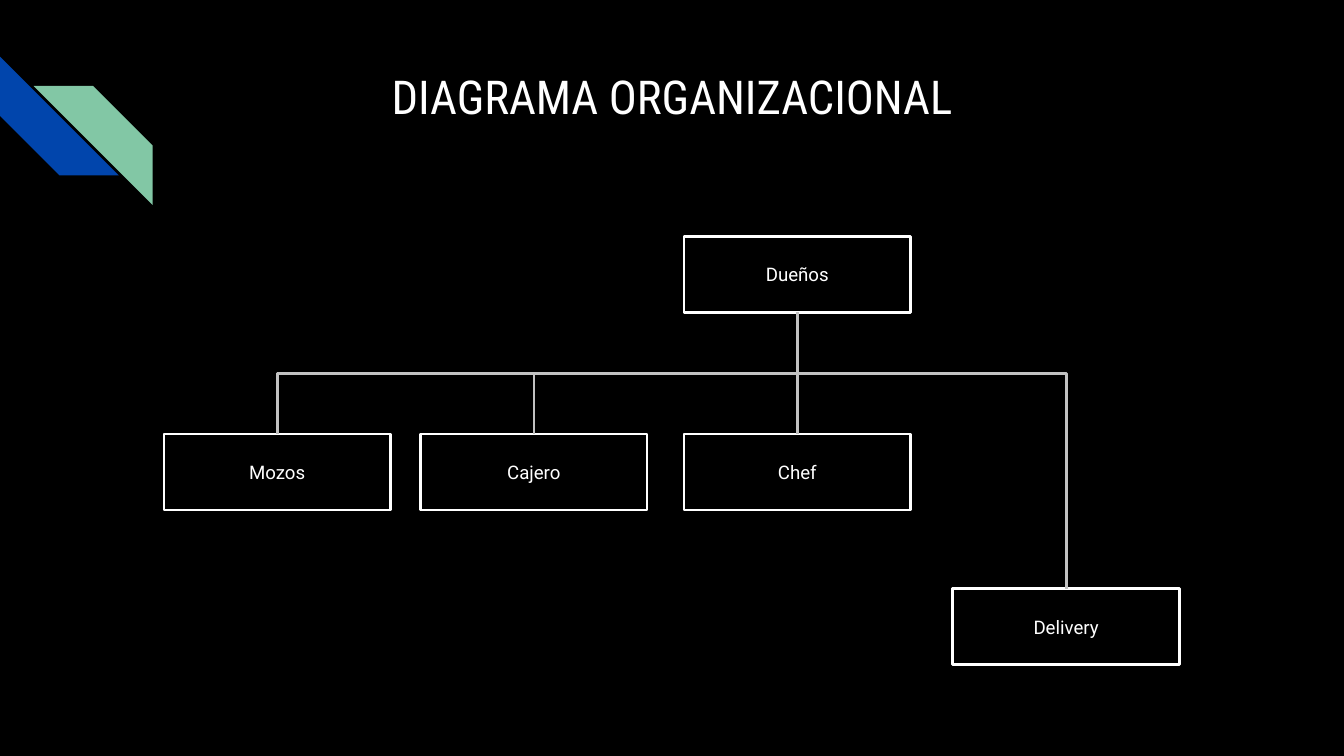
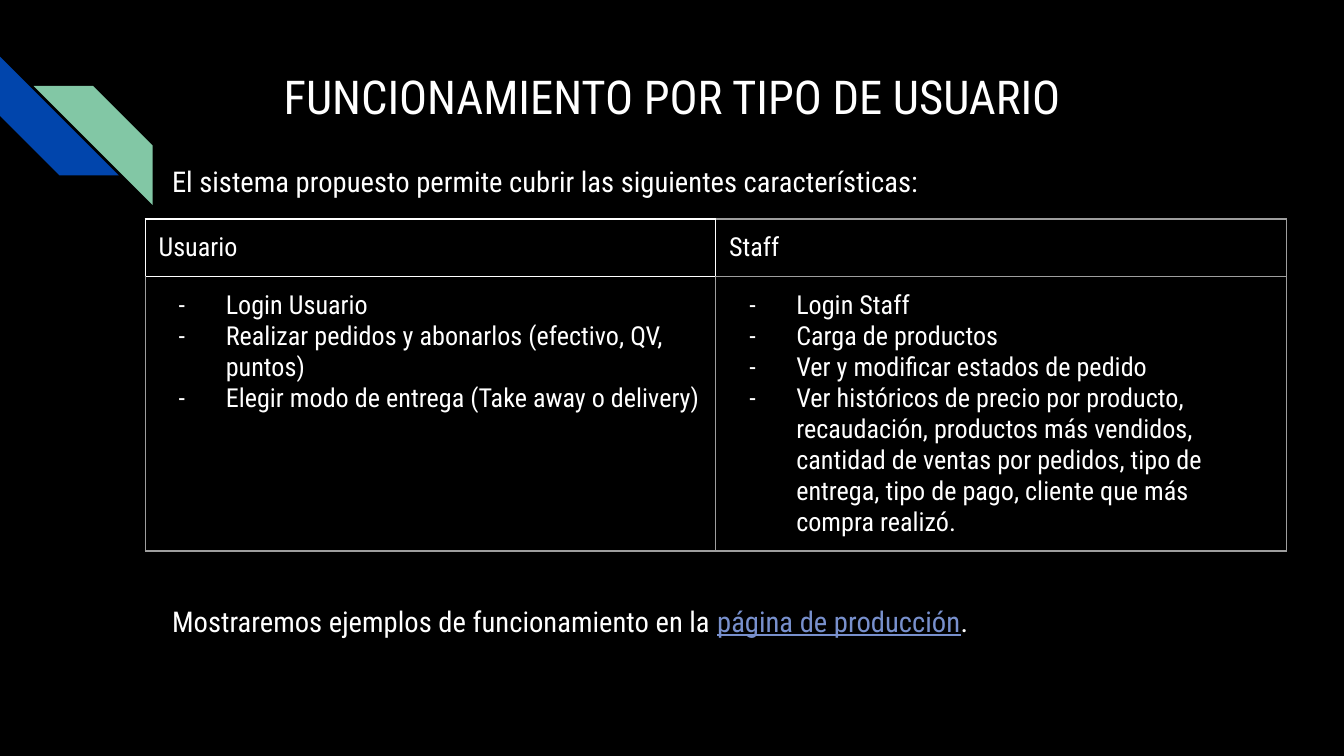
"""Build two dark slides: an organisation chart and a table of features per user type."""
from lxml import etree
from pptx import Presentation, util as u
from pptx.dml.color import RGBColor
from pptx.enum import shapes, text
from pptx.oxml.ns import qn

COLORS = {"black": "000000", "white": "FFFFFF", "blue": "0145AC", "green": "82C7A5",
          "line": "C2C2C2", "border": "9E9E9E", "link": "7890CD"}
RGB = {name: RGBColor.from_string(code) for name, code in COLORS.items()}
CONDENSED = "Roboto Condensed"

deck = Presentation()
deck.slide_width, deck.slide_height = u.Inches(10), u.Inches(5.625)
UNIT = deck.slide_width // 100


def grid(*units):
    """Turn hundredths of the slide width into lengths."""
    return [round(n * UNIT) for n in units]


def style(para, size, name=CONDENSED):
    """Set the white font that a whole paragraph shares."""
    para.font.size, para.font.name = u.Pt(size), name
    para.font.color.rgb = RGB["white"]


master = deck.slide_master
master.background.fill.solid()
master.background.fill.fore_color.rgb = RGB["black"]

chart_page = deck.slides.add_slide(deck.slide_layouts.get_by_name("Title Only"))
table_page = deck.slides.add_slide(deck.slide_layouts.get_by_name("Title and Content"))

for x, y, turn, color in [(0, 4.2, 270, "blue"), (2.5, 6.4, 90, "green")]:
    stripe = chart_page.shapes.add_shape(
        shapes.MSO_SHAPE.DIAGONAL_STRIPE, *grid(x, y, 8.85, 8.85))
    stripe.rotation = turn
    stripe.shadow.inherit = False
    stripe.fill.solid()
    stripe.fill.fore_color.rgb = RGB[color]
    stripe.line.fill.background()
    master.shapes.element.append(stripe.element)

for page, heading in [(chart_page, "DIAGRAMA ORGANIZACIONAL"),
                      (table_page, "FUNCIONAMIENTO POR TIPO DE USUARIO")]:
    title = page.shapes.title
    title.left, title.top, title.width, title.height = grid(0, 2.3, 100, 9.7)
    frame = title.text_frame
    frame.text = heading
    frame.auto_size = text.MSO_AUTO_SIZE.NONE
    frame.vertical_anchor = text.MSO_ANCHOR.MIDDLE
    frame.paragraphs[0].alignment = text.PP_ALIGN.CENTER
    style(frame.paragraphs[0], 25)

BOX_W, BOX_H, BUS_DROP = 16.85, 5.65, 4.55
boxes = {}
for label, x, y in [("Dueños", 50.9, 17.6), ("Mozos", 12.2, 32.3), ("Cajero", 31.3, 32.3),
                    ("Chef", 50.9, 32.3), ("Delivery", 70.9, 43.8)]:
    box = chart_page.shapes.add_shape(shapes.MSO_SHAPE.RECTANGLE, *grid(x, y, BOX_W, BOX_H))
    box.shadow.inherit = False
    box.fill.background()
    box.line.color.rgb, box.line.width = RGB["white"], u.Pt(1.5)
    box.text_frame.text = label
    box.text_frame.vertical_anchor = text.MSO_ANCHOR.MIDDLE
    para = box.text_frame.paragraphs[0]
    para.alignment = text.PP_ALIGN.CENTER
    style(para, 10, "Roboto")
    boxes[label] = box

owner = boxes.pop("Dueños")
start_x, start_y = owner.left + owner.width // 2, owner.top + owner.height
for child in boxes.values():
    across = child.left - owner.left
    drop = child.top - start_y
    link = chart_page.shapes.add_connector(
        shapes.MSO_CONNECTOR.ELBOW, start_x, start_y, start_x + across, child.top)
    link.begin_connect(owner, 2)
    link.end_connect(child, 0)
    link.line.color.rgb, link.line.width = RGB["line"], u.Pt(1.5)
    link.left = start_x + (across - drop) // 2
    link.top = start_y + (drop - abs(across)) // 2
    link.width, link.height = drop, abs(across)
    props = link.element.spPr
    props.xfrm.rot = 90 if across < 0 else 270
    props.xfrm.flipH = across >= 0
    props.xfrm.flipV = False
    bend = round(100000 * BUS_DROP * UNIT / drop)
    guides = props.find(qn("a:prstGeom")).find(qn("a:avLst"))
    etree.SubElement(guides, qn("a:gd"), name="adj1", fmla=f"val {bend}")
    etree.SubElement(props, qn("a:effectLst"))

body = table_page.placeholders[1]
body.left, body.top, body.width, body.height = grid(11.8, 11.4, 82.9, 42.2)
frame = body.text_frame
frame.auto_size = text.MSO_AUTO_SIZE.NONE
frame.vertical_anchor = text.MSO_ANCHOR.TOP
frame.margin_top = frame.margin_bottom = u.Inches(0.1)
sentences = [
    (0, ["El sistema propuesto permite cubrir las siguientes características:"]),
    (218, ["Mostraremos ejemplos de funcionamiento en la ", "página de producción", "."])]
for index, (gap, parts) in enumerate(sentences):
    para = frame.add_paragraph() if index else frame.paragraphs[0]
    para.line_spacing, para.space_before = 0.95, u.Pt(gap)
    props = para._p.get_or_add_pPr()
    props.set("marL", "0")
    props.set("indent", "0")
    etree.SubElement(props, qn("a:buNone"))
    style(para, 15.3)
    for part in parts:
        para.add_run().text = part
link_span = frame.paragraphs[1].runs[1]
link_span.font.color.rgb, link_span.font.underline = RGB["link"], True

HEADERS = ["Usuario", "Staff"]
FEATURES = [
    ["Login Usuario",
     "Realizar pedidos y abonarlos (efectivo, QV, puntos)",
     "Elegir modo de entrega (Take away o delivery)"],
    ["Login Staff",
     "Carga de productos",
     "Ver y modificar estados de pedido",
     "Ver históricos de precio por producto, recaudación, productos más vendidos, "
     "cantidad de ventas por pedidos, tipo de entrega, tipo de pago, cliente que más "
     "compra realizó."]]
WHITE_EDGES = {(0, 0): "LRTB", (0, 1): "L", (1, 0): "T", (1, 1): ""}

table = table_page.shapes.add_table(2, 2, *grid(10.8, 16.3, 84.9, 24.7)).table
table.first_row = table.horz_banding = False
for column in table.columns:
    column.width = grid(42.45)[0]
for row, height in zip(table.rows, grid(4.3, 20.4)):
    row.height = height

for (row, column), white_edges in WHITE_EDGES.items():
    cell = table.cell(row, column)
    cell.margin_left = cell.margin_right = cell.margin_top = cell.margin_bottom = u.Inches(0.1)
    for edge in "LRTB":
        border = etree.SubElement(cell._tc.get_or_add_tcPr(), qn(f"a:ln{edge}"), w=str(u.Pt(0.75)))
        paint = etree.SubElement(border, qn("a:solidFill"))
        color = COLORS["white" if edge in white_edges else "border"]
        etree.SubElement(paint, qn("a:srgbClr"), val=color)
    cell.fill.background()
    cell.text = "\n".join(FEATURES[column]) if row else HEADERS[column]
    for para in cell.text_frame.paragraphs:
        if row:
            props = para._p.get_or_add_pPr()
            props.set("marL", str(u.Inches(0.5)))
            props.set("indent", str(u.Inches(-0.35)))
            bullet_color = etree.SubElement(props, qn("a:buClr"))
            etree.SubElement(bullet_color, qn("a:srgbClr"), val=COLORS["white"])
            etree.SubElement(props, qn("a:buFont"), typeface=CONDENSED)
            etree.SubElement(props, qn("a:buChar"), char="-")
        style(para, 14)

deck.save("out.pptx")
